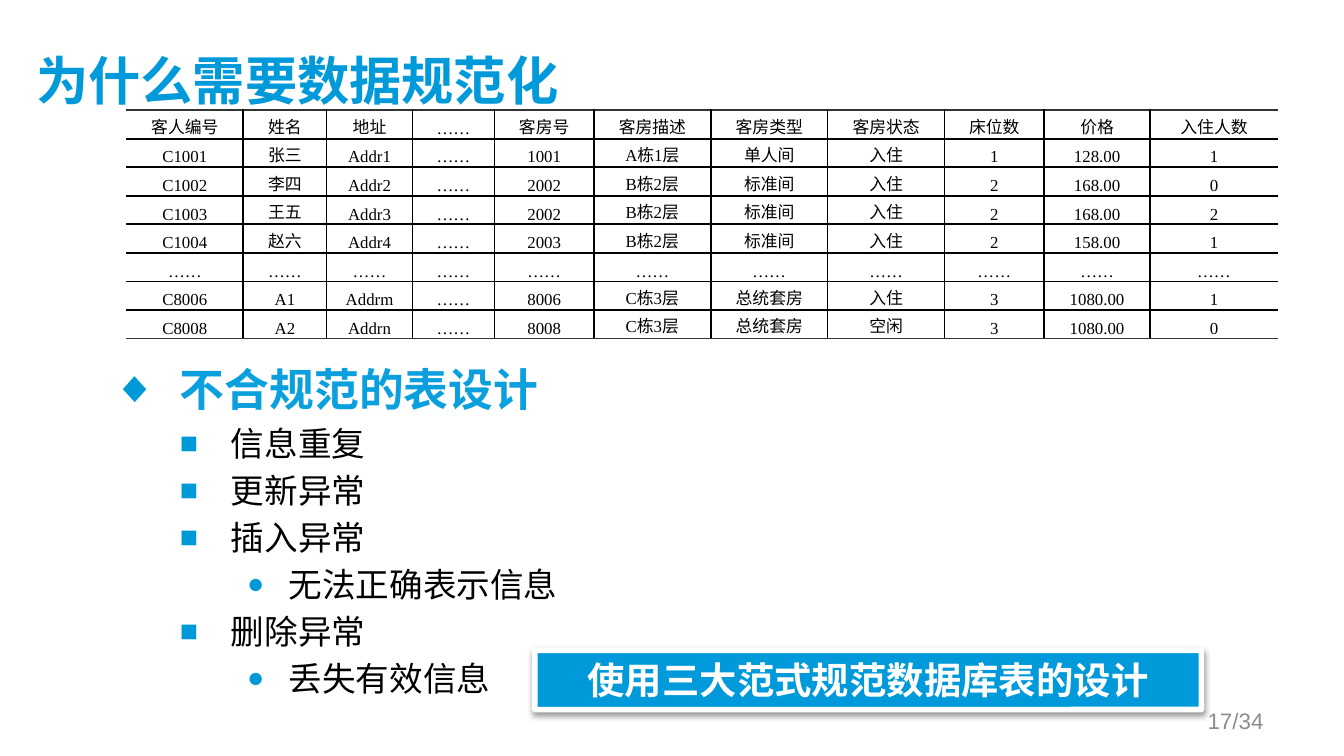
"""Build the slide on why data needs normalising."""
from lxml.etree import SubElement as Sub
from pptx import Presentation
from pptx.dml.color import RGBColor as Rgb
from pptx.enum.shapes import MSO_SHAPE as Shape
from pptx.enum.text import MSO_ANCHOR as Anchor, PP_ALIGN as Align
from pptx.oxml.ns import qn
from pptx.util import Inches, Pt

HEX = {"blue": "0099D9", "mark": "0099D8", "head": "0B9FDD", "ink": "000000",
       "edge": "333333", "white": "FFFFFF", "grey": "8C8C8C"}
SANS, SERIF, ARIAL = "Noto Sans CJK SC", "Times New Roman", "Arial"
WIDTH = 10
HEIGHT = WIDTH * 9 / 16
DOTS = "……"
TITLE = "为什么需要数据规范化"
BANNER = "使用三大范式规范数据库表的设计"
PAGE = "17/34"
ROWS = [
    ("客人编号", "姓名", "地址", DOTS, "客房号", "客房描述", "客房类型",
     "客房状态", "床位数", "价格", "入住人数"),
    ("C1001", "张三", "Addr1", DOTS, "1001", "A栋1层", "单人间", "入住", "1", "128.00", "1"),
    ("C1002", "李四", "Addr2", DOTS, "2002", "B栋2层", "标准间", "入住", "2", "168.00", "0"),
    ("C1003", "王五", "Addr3", DOTS, "2002", "B栋2层", "标准间", "入住", "2", "168.00", "2"),
    ("C1004", "赵六", "Addr4", DOTS, "2003", "B栋2层", "标准间", "入住", "2", "158.00", "1"),
    (DOTS,) * 11,
    ("C8006", "A1", "Addrm", DOTS, "8006", "C栋3层", "总统套房", "入住", "3", "1080.00", "1"),
    ("C8008", "A2", "Addrn", DOTS, "8008", "C栋3层", "总统套房", "空闲", "3", "1080.00", "0"),
]
COLS = [0.87, 0.62, 0.64, 0.61, 0.74, 0.87, 0.87, 0.87, 0.74, 0.79, 0.95]
POINTS = [(0, "不合规范的表设计"), (1, "信息重复"), (1, "更新异常"), (1, "插入异常"),
          (2, "无法正确表示信息"), (1, "删除异常"), (2, "丢失有效信息")]
LEVELS = [
    {"mark": "◆", "size": 24, "left": 0.5, "hang": 0.5, "pct": 100,
     "color": "head", "bold": True, "line": 29.2},
    {"mark": "■", "size": 18, "left": 0.88, "hang": 0.38, "pct": 90,
     "color": "ink", "bold": False, "line": 21.6},
    {"mark": "●", "size": 18, "left": 1.31, "hang": 0.31, "pct": 85,
     "color": "ink", "bold": False, "line": 21.6},
]


def rgb(name):
    return Rgb.from_string(HEX[name])


def add_run(para, text, size, color, font, bold=False, east=SANS):
    run = para.add_run()
    run.text = text
    face = run.font
    face.size, face.bold, face.name = Pt(size), bold, font
    face.color.rgb = rgb(color)
    Sub(run._r.get_or_add_rPr(), qn("a:ea"), typeface=east)


def set_frame(frame, pads, anchor):
    frame.word_wrap = True
    frame.vertical_anchor = anchor
    (frame.margin_left, frame.margin_top,
     frame.margin_right, frame.margin_bottom) = map(Inches, pads)
    return frame.paragraphs[0]


def add_box(slide, area, pads=(0.1, 0.05, 0.1, 0.05), anchor=Anchor.MIDDLE):
    frame = slide.shapes.add_textbox(*map(Inches, area)).text_frame
    return frame, set_frame(frame, pads, anchor)


def add_mark(para, level):
    props = para._p.get_or_add_pPr()
    props.set("marL", str(Inches(level["left"])))
    props.set("indent", str(-Inches(level["hang"])))
    Sub(Sub(props, qn("a:buClr")), qn("a:srgbClr"), val=HEX["mark"])
    Sub(props, qn("a:buSzPct"), val=str(level["pct"] * 1000))
    Sub(props, qn("a:buFont"), typeface=ARIAL)
    Sub(props, qn("a:buChar"), char=level["mark"])


def add_edge(cell, side, color):
    line = Sub(cell._tc.get_or_add_tcPr(), qn("a:ln" + side), w=str(Pt(1)))
    if color:
        Sub(Sub(line, qn("a:solidFill")), qn("a:srgbClr"), val=HEX[color])
    else:
        Sub(line, qn("a:noFill"))


def add_grid(slide):
    area = map(Inches, (0.94, 0.82, sum(COLS), 1.7))
    table = slide.shapes.add_table(len(ROWS), len(COLS), *area).table
    table.first_row = table.horz_banding = False
    for col, width in zip(table.columns, COLS):
        col.width = Inches(width)
    for i, row in enumerate(ROWS):
        for j, text in enumerate(row):
            cell = table.cell(i, j)
            cell.vertical_anchor = Anchor.MIDDLE
            cell.margin_left = cell.margin_right = Inches(0.05)
            cell.margin_top = cell.margin_bottom = 0
            add_edge(cell, "L", "ink" if j else None)
            add_edge(cell, "R", "ink" if j < len(COLS) - 1 else None)
            add_edge(cell, "T", "ink" if i else "edge")
            add_edge(cell, "B", "ink" if i < len(ROWS) - 1 else "edge")
            cell.fill.background()
            para = cell.text_frame.paragraphs[0]
            para.alignment, para.line_spacing = Align.CENTER, Pt(14.5)
            font = SERIF if i or text == DOTS else ARIAL
            add_run(para, text, 9, "ink", font, east=SERIF if text == DOTS else SANS)


def add_points(slide):
    frame, para = add_box(slide, (0.74, 2.64, 8.49, 2.29), anchor=Anchor.TOP)
    for i, (depth, text) in enumerate(POINTS):
        level = LEVELS[depth]
        if i:
            para = frame.add_paragraph()
            para.space_before = Pt(level["size"] * 0.2)
        para.level, para.line_spacing = depth, Pt(level["line"])
        add_mark(para, level)
        add_run(para, text, level["size"], level["color"], SANS, level["bold"])


def add_banner(slide):
    area = map(Inches, (3.98, 4.84, 4.96, 0.44))
    shape = slide.shapes.add_shape(Shape.ROUNDED_RECTANGLE, *area)
    shape.adjustments[0] = 0.01
    shape.fill.solid()
    shape.fill.fore_color.rgb = rgb("blue")
    shape.line.color.rgb, shape.line.width = rgb("white"), Pt(3)
    shape.shadow.inherit = False
    glow = Sub(shape._element.spPr.find(qn("a:effectLst")), qn("a:outerShdw"),
               blurRad=str(Pt(3.1)), dist=str(Pt(1.6)), dir="5400000", rotWithShape="0")
    Sub(Sub(glow, qn("a:srgbClr"), val=HEX["ink"]), qn("a:alpha"), val="38000")
    para = set_frame(shape.text_frame, (0.1, 0, 0.1, 0), Anchor.MIDDLE)
    para.alignment = Align.CENTER
    add_run(para, BANNER, 20, "white", "Calibri", True)


def main():
    deck = Presentation()
    deck.slide_width, deck.slide_height = Inches(WIDTH), Inches(HEIGHT)
    slide = deck.slides.add_slide(deck.slide_layouts[6])
    para = add_box(slide, (0.27, 0.23, 8.95, 0.77), (0, 0, 0.1, 0.05))[1]
    add_run(para, TITLE, 28, "blue", SANS, True)
    add_points(slide)
    add_banner(slide)
    add_grid(slide)
    para = add_box(slide, (7.17, 5.21, 2.33, 0.3))[1]
    para.alignment = Align.RIGHT
    add_run(para, PAGE, 12, "grey", ARIAL)
    deck.save("out.pptx")


if __name__ == "__main__":
    main()
